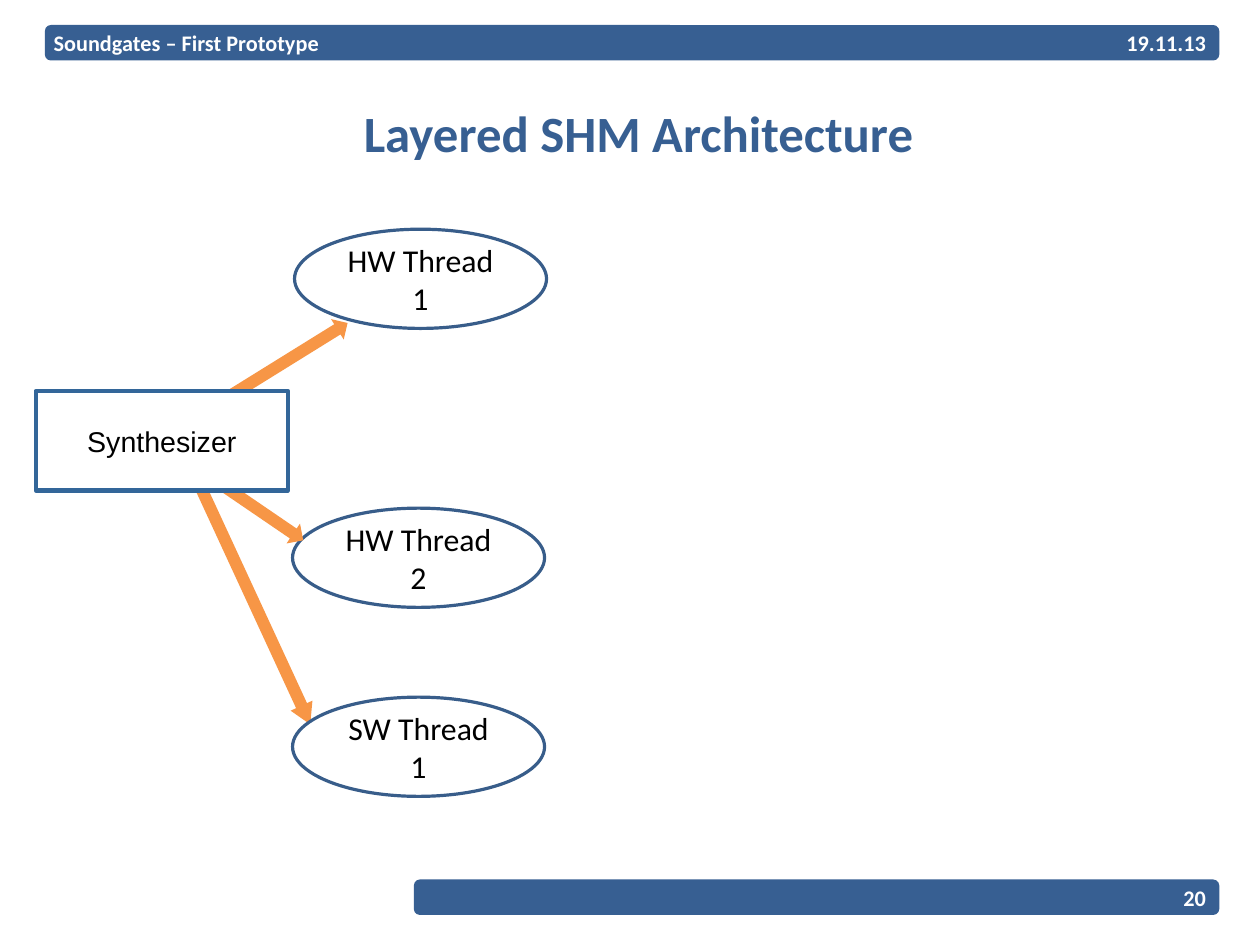
from pptx import Presentation, util as u
from pptx.dml.color import RGBColor
from pptx.enum import shapes, text

WIDTH, HEIGHT = u.Cm(28), u.Cm(21)
COLUMN, ROW = WIDTH / 100, HEIGHT / 100

NAVY = RGBColor(0x37, 0x5F, 0x92)
OUTLINE = RGBColor(0x38, 0x5D, 0x8A)
STEEL = RGBColor(0x33, 0x66, 0x99)
ORANGE = RGBColor(0xF7, 0x96, 0x46)
WHITE = RGBColor(0xFF, 0xFF, 0xFF)
BLACK = RGBColor(0x00, 0x00, 0x00)

LEFT, CENTER, RIGHT = text.PP_ALIGN.LEFT, text.PP_ALIGN.CENTER, text.PP_ALIGN.RIGHT
KIND = shapes.MSO_SHAPE
BAR_RIGHT, TEXT_RIGHT = 96.77, 95.72
HEADER_ROW, FOOTER_ROW, BAR_ROWS = 2.65, 93.07, 3.75
NODE_COLUMNS, NODE_ROWS = 20, 10.5
ARROW_ROWS = 2.54


def place(column, row, columns, rows):
    return [round(v) for v in (column * COLUMN, row * ROW, columns * COLUMN, rows * ROW)]


def write(frame, words, size, color, font="Calibri", bold=False, align=CENTER):
    frame.text = words
    frame.word_wrap = True
    frame.vertical_anchor = text.MSO_ANCHOR.MIDDLE
    paragraph = frame.paragraphs[0]
    paragraph.alignment = align
    lettering = paragraph.runs[0].font
    lettering.name, lettering.size, lettering.bold = font, u.Pt(size), bold
    lettering.color.rgb = color


def add_label(slide, area, words, size, color, align):
    frame = slide.shapes.add_textbox(*place(*area)).text_frame
    frame.margin_left = frame.margin_right = frame.margin_top = frame.margin_bottom = 0
    write(frame, words, size, color, bold=True, align=align)


def add_filled(slide, kind, area, fill):
    body = slide.shapes.add_shape(kind, *place(*area))
    body.shadow.inherit = False
    body.fill.solid()
    body.fill.fore_color.rgb = fill
    body.line.fill.background()
    return body


def add_bar(slide, column, row):
    bar = add_filled(slide, KIND.ROUNDED_RECTANGLE,
                     (column, row, BAR_RIGHT - column, BAR_ROWS), NAVY)
    bar.adjustments[0] = 0.17


def add_node(slide, kind, column, row, words, size, font, outline, weight):
    node = add_filled(slide, kind, (column, row, NODE_COLUMNS, NODE_ROWS), WHITE)
    node.line.color.rgb = outline
    node.line.width = u.Pt(weight)
    write(node.text_frame, words, size, BLACK, font)


def add_thread(slide, column, row, words):
    add_node(slide, KIND.OVAL, column, row, words, 20, "Calibri", OUTLINE, 2)


def add_arrow(slide, center_column, center_row, columns, angle, head):
    area = (center_column - columns / 2, center_row - ARROW_ROWS / 2, columns, ARROW_ROWS)
    arrow = add_filled(slide, KIND.RIGHT_ARROW, area, ORANGE)
    arrow.adjustments[1] = head
    arrow.rotation = angle


def main():
    deck = Presentation()
    deck.slide_width = WIDTH
    deck.slide_height = HEIGHT
    slide = deck.slides.add_slide(deck.slide_layouts[6])

    add_bar(slide, 3.56, HEADER_ROW)
    add_bar(slide, 32.85, FOOTER_ROW)
    for column, row, columns, words, align in (
        (4.26, HEADER_ROW, 77.83, "Soundgates – First Prototype", LEFT),
        (TEXT_RIGHT - 7.88, FOOTER_ROW, 7.88, "20", RIGHT),
        (TEXT_RIGHT - 12.17, HEADER_ROW, 12.17, "19.11.13", RIGHT),
    ):
        add_label(slide, (column, row, columns, BAR_ROWS), words, 14, WHITE, align)
    add_label(slide, (5, 9.8, 91.4, 8.33), "Layered SHM Architecture", 32, NAVY, CENTER)

    add_thread(slide, 23.38, 24.25, "HW Thread 1")
    add_thread(slide, 23.22, 53.77, "HW Thread 2")
    for arrow in (
        (20.69, 54.11, 8.17, 34.3, 0.5),
        (22.5, 38.39, 11.98, 328.2, 0.5),
        (20.24, 64.03, 20.87, 65.2, 0.86),
    ):
        add_arrow(slide, *arrow)
    add_node(slide, KIND.RECTANGLE, 2.85, 41.38, "Synthesizer", 18, "Arial", STEEL, 2.89)
    add_thread(slide, 23.22, 73.77, "SW Thread 1")

    deck.save("out.pptx")


if __name__ == "__main__":
    main()
